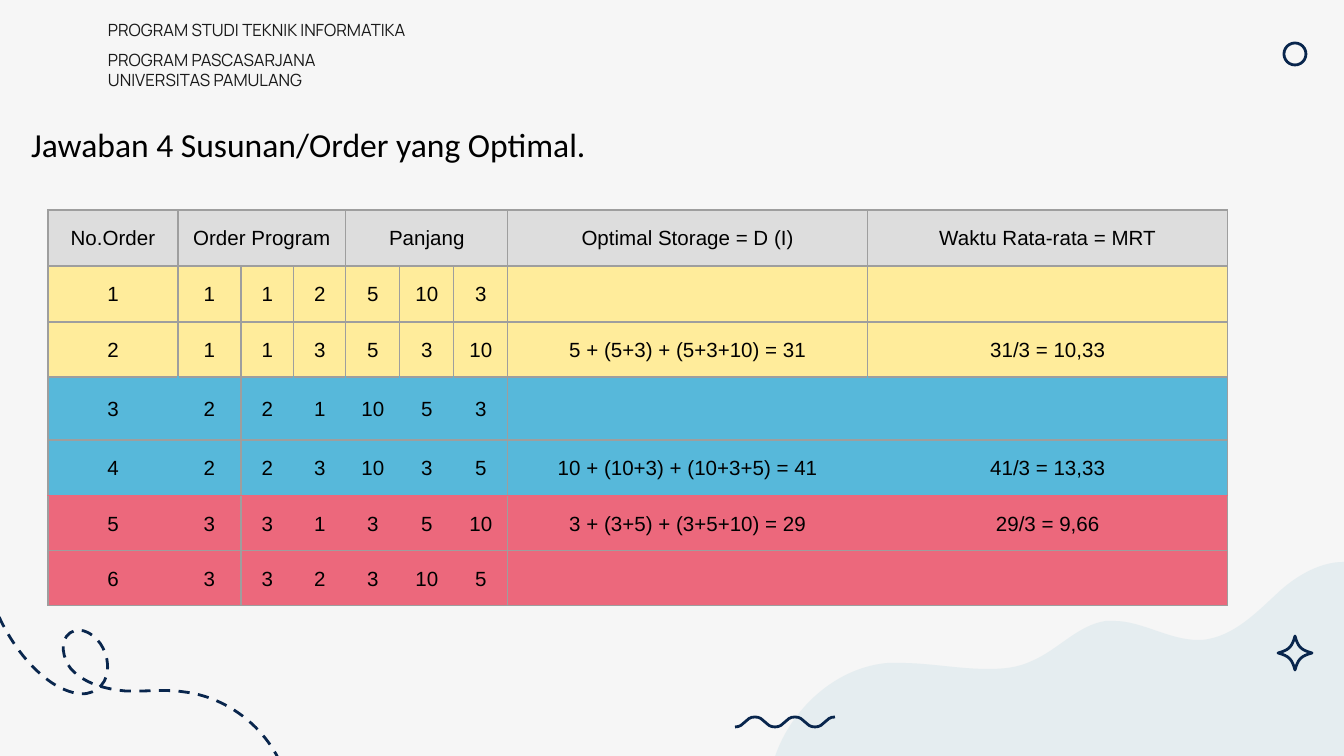
from lxml import etree
from pptx import Presentation
from pptx.dml.color import RGBColor
from pptx.enum.dml import MSO_LINE
from pptx.enum.shapes import MSO_SHAPE
from pptx.enum.text import MSO_ANCHOR, PP_ALIGN
from pptx.oxml.ns import qn
from pptx.util import Pt

DASH = MSO_LINE.DASH
OVAL = MSO_SHAPE.OVAL
MIDDLE, TOP = MSO_ANCHOR.MIDDLE, MSO_ANCHOR.TOP
CENTER, LEFT = PP_ALIGN.CENTER, PP_ALIGN.LEFT

PAPER = RGBColor(0xF6, 0xF6, 0xF6)
MIST = RGBColor(0xD6, 0xE6, 0xEB)
NAVY = RGBColor(0x09, 0x26, 0x4D)
INK = RGBColor(0x19, 0x19, 0x19)
BLACK = RGBColor(0, 0, 0)
GRID = RGBColor(0x9E, 0x9E, 0x9E)
GREY = RGBColor(0xDD, 0xDD, 0xDD)
YELLOW = RGBColor(0xFF, 0xEC, 0x9B)
BLUE = RGBColor(0x57, 0xB8, 0xDA)
RED = RGBColor(0xEC, 0x68, 0x7C)

INSTITUTION = [
    ("PROGRAM STUDI TEKNIK INFORMATIKA", 1),
    ("PROGRAM PASCASARJANA", 1.5),
    ("UNIVERSITAS PAMULANG", 1),
]
TITLE = [("Jawaban 4 Susunan/Order yang Optimal.", 1.07)]
ORDERS = [
    ["No.Order", "Order Program", "", "", "Panjang", "", "",
     "Optimal Storage = D (I)", "Waktu Rata-rata = MRT"],
    ["1", "1", "1", "2", "5", "10", "3", "", ""],
    ["2", "1", "1", "3", "5", "3", "10", "5 + (5+3) + (5+3+10) = 31", "31/3 = 10,33"],
    ["3", "2", "2", "1", "10", "5", "3", "", ""],
    ["4", "2", "2", "3", "10", "3", "5", "10 + (10+3) + (10+3+5) = 41", "41/3 = 13,33"],
    ["5", "3", "3", "1", "3", "5", "10", "3 + (3+5) + (3+5+10) = 29", "29/3 = 9,66"],
    ["6", "3", "3", "2", "3", "10", "5", "", ""],
]
ROW_FILLS = [GREY, YELLOW, YELLOW, BLUE, BLUE, RED, RED]
COLUMN_WIDTHS = [130, 63, 53, 52, 54, 54, 54, 360, 360]
ROW_HEIGHTS = [56, 56, 55, 63, 56, 55, 55]
HEADER_SPANS = [(1, 3), (4, 6)]
RULED_ROWS = 3
RULED_EDGES = {0, 2, 7, 9}
UNRULED_ROW_EDGE = 5

HILLS = [
    [(1343, 562)],
    [(1351, 562), (1359, 563), (1367, 567)],
    [(1355, 792)],
    [(770, 817)],
    [(757, 746), (816, 669), (888, 663)],
    [(892, 663), (896, 663), (900, 663)],
    [(930, 663), (958, 669), (988, 669)],
    [(1003, 669), (1017, 668), (1032, 661)],
    [(1058, 650), (1078, 625), (1106, 621)],
    [(1109, 621), (1111, 621), (1114, 621)],
    [(1142, 621), (1169, 640), (1198, 640)],
    [(1199, 640), (1200, 640), (1202, 640)],
    [(1234, 637), (1257, 612), (1281, 590)],
    [(1298, 575), (1321, 562), (1343, 562)],
]
LOOP = [
    [(-27, 543)],
    [(-19, 570), (-11, 595), (1, 621)],
    [(13, 645), (30, 668), (52, 683)],
    [(66, 692), (85, 699), (97, 689)],
    [(110, 681), (110, 661), (103, 648)],
    [(97, 636), (82, 625), (70, 633)],
    [(59, 641), (63, 659), (71, 669)],
    [(85, 684), (105, 689), (125, 691)],
    [(144, 692), (164, 689), (184, 692)],
    [(235, 698), (280, 739), (289, 790)],
]
STAR = [
    [(1278, 653)],
    [(1289, 656), (1292, 659), (1295, 670)],
    [(1298, 659), (1301, 656), (1312, 653)],
    [(1301, 650), (1298, 647), (1295, 636)],
    [(1292, 647), (1289, 650), (1278, 653)],
]
WAVE_LEFT, WAVE_STEP, WAVE_LEVELS = 735, 20, (727, 717)


def px(length):
    return round(length * 914400 / 134.4)


def outline(shape, dash=None):
    shape.shadow.inherit = False
    shape.fill.background()
    shape.line.color.rgb = NAVY
    shape.line.width = Pt(1.5)
    if dash:
        shape.line.dash_style = dash


def draw_curve(shapes, segments, closed=False):
    points = [(px(x), px(y)) for segment in segments for x, y in segment]
    builder = shapes.build_freeform(*points[0], scale=1.0)
    builder.add_line_segments(points[1:], close=closed)
    shape = builder.convert_to_shape()
    lines = iter(list(shape._element.iter(qn("a:lnTo"))))
    for segment in segments[1:]:
        steps = [next(lines) for _ in segment]
        if len(steps) == 3:
            steps[0].tag = qn("a:cubicBezTo")
            for step in steps[1:]:
                steps[0].append(step[0])
                step.getparent().remove(step)
    return shape


def write(frame, lines, *, font, size, color, align=LEFT, after=0):
    for number, (text, spacing) in enumerate(lines):
        paragraph = frame.add_paragraph() if number else frame.paragraphs[0]
        paragraph.alignment = align
        paragraph.line_spacing = spacing
        paragraph.space_after = Pt(after)
        run = paragraph.add_run()
        run.text = text
        run.font.name = font
        run.font.size = Pt(size)
        run.font.color.rgb = color


def add_frame(shapes, left, top, width, height, anchor=TOP):
    frame = shapes.add_textbox(px(left), px(top), px(width), px(height)).text_frame
    frame.word_wrap = True
    frame.vertical_anchor = anchor
    return frame


def rule_cell(cell, colors):
    properties = cell._tc.get_or_add_tcPr()
    for side, color in zip("LRTB", colors):
        border = etree.SubElement(properties, qn(f"a:ln{side}"), w=str(Pt(0.75)))
        fill = etree.SubElement(border, qn("a:solidFill"))
        etree.SubElement(fill, qn("a:srgbClr"), val=str(color))


def add_orders(shapes):
    table = shapes.add_table(len(ORDERS), len(COLUMN_WIDTHS), px(48), px(210),
                             px(sum(COLUMN_WIDTHS)), px(sum(ROW_HEIGHTS))).table
    table.horz_banding = table.first_row = False
    for column, width in zip(table.columns, COLUMN_WIDTHS):
        column.width = px(width)
    for row, height in zip(table.rows, ROW_HEIGHTS):
        row.height = px(height)
    for first, last in HEADER_SPANS:
        table.cell(0, first).merge(table.cell(0, last))
    for r, (values, shade) in enumerate(zip(ORDERS, ROW_FILLS)):
        for c, value in enumerate(values):
            cell = table.cell(r, c)
            sides = [GRID if r < RULED_ROWS or edge in RULED_EDGES else shade
                     for edge in (c, c + 1)]
            levels = [shade if edge == UNRULED_ROW_EDGE else GRID for edge in (r, r + 1)]
            rule_cell(cell, sides + levels)
            cell.fill.solid()
            cell.fill.fore_color.rgb = shade
            cell.vertical_anchor = MIDDLE
            cell.margin_left = cell.margin_right = px(9)
            cell.margin_top = cell.margin_bottom = 0
            if value:
                write(cell.text_frame, [(value, 1.07)], font="Arial", size=11,
                      color=BLACK, align=CENTER, after=8)


def main():
    deck = Presentation()
    deck.slide_width, deck.slide_height = px(1344), px(756)
    slide = deck.slides.add_slide(deck.slide_layouts[6])
    slide.background.fill.solid()
    slide.background.fill.fore_color.rgb = PAPER
    shapes = slide.shapes

    hills = draw_curve(shapes, HILLS, closed=True)
    hills.shadow.inherit = False
    hills.line.fill.background()
    hills.fill.solid()
    hills.fill.fore_color.rgb = MIST
    tint = hills._element.spPr.find(qn("a:solidFill"))[0]
    etree.SubElement(tint, qn("a:alpha"), val="53000")

    wave = [[(WAVE_LEFT, WAVE_LEVELS[0])]]
    for half in range(5):
        start, end = WAVE_LEVELS[half % 2], WAVE_LEVELS[(half + 1) % 2]
        x = WAVE_LEFT + WAVE_STEP * half
        middle = x + WAVE_STEP // 2
        wave.append([(middle, start), (middle, end), (x + WAVE_STEP, end)])
    outline(draw_curve(shapes, LOOP), dash=DASH)
    outline(draw_curve(shapes, wave))
    outline(draw_curve(shapes, STAR, closed=True))
    outline(shapes.add_shape(OVAL, px(1284), px(43), px(22), px(22)))

    institution = add_frame(shapes, 94, 24, 371, 62, anchor=MIDDLE)
    institution.margin_left = institution.margin_right = px(14)
    institution.margin_top = institution.margin_bottom = px(13)
    write(institution, INSTITUTION, font="Manrope", size=9, color=INK)
    write(add_frame(shapes, 18, 115, 1210, 55), TITLE, font="Calibri", size=18,
          color=BLACK, after=8)
    add_orders(shapes)
    deck.save("out.pptx")


if __name__ == "__main__":
    main()
